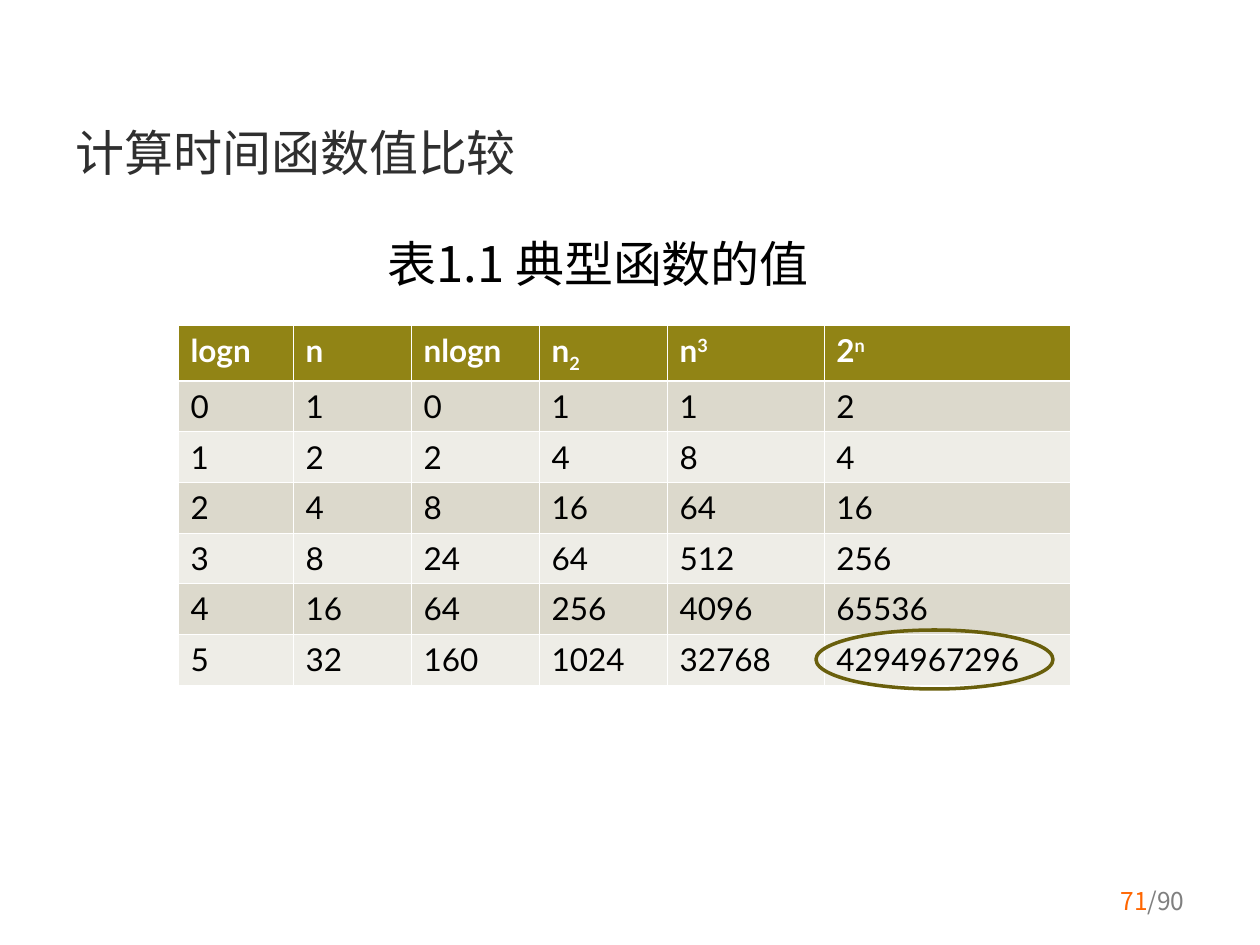
import pptx
import pptx.dml.color
import pptx.enum.shapes
import pptx.enum.text
import pptx.oxml
import pptx.oxml.ns
import pptx.util
from lxml import etree

TITLE = "计算时间函数值比较"
CAPTION = "表1.1 典型函数的值"
PAGE, PAGE_COUNT = "71", "/90"

# Each heading: base text, raised or lowered text, its offset in percent
HEADINGS = [("logn", "", 0), ("n", "", 0), ("nlogn", "", 0),
            ("n", "2", -25), ("n", "3", 30), ("2", "n", 30)]
VALUES = [
    (0, 1, 0, 1, 1, 2),
    (1, 2, 2, 4, 8, 4),
    (2, 4, 8, 16, 64, 16),
    (3, 8, 24, 64, 512, 256),
    (4, 16, 64, 256, 4096, 65536),
    (5, 32, 160, 1024, 32768, 4294967296),
]

LATIN, CJK = "Lato", "Noto Sans CJK SC"
HEADER_FILL, BAND_FILLS = "918415", ("DCD9CC", "EEEDE7")
WHITE, BLACK = "FFFFFF", "000000"
THIN, THICK = 0.45, 1.47

TABLE_LEFT, TABLE_TOP = 178, 325
COLUMN_WIDTHS = [115, 118, 128, 128, 157, 246]
HEADER_HEIGHT, BODY_HEIGHT = 56, 304
EMU_PER_PX = 914400 / 126


def px(length):
    return pptx.util.Emu(round(length * EMU_PER_PX))


def color(hex_code):
    return pptx.dml.color.RGBColor.from_string(hex_code)


def set_font(paragraph, name, size, hex_code, bold=False):
    font = paragraph.font
    font.name, font.size, font.bold = name, pptx.util.Pt(size), bold
    font.color.rgb = color(hex_code)
    east_asian = etree.SubElement(font._element, pptx.oxml.ns.qn("a:ea"))
    east_asian.set("typeface", CJK)


def add_borders(cell, top, bottom):
    """Give the cell white borders; must run before its fill is set."""
    properties = cell._tc.get_or_add_tcPr()
    for side, width in (("L", THIN), ("R", THIN), ("T", top), ("B", bottom)):
        properties.append(pptx.oxml.parse_xml(
            f'<a:ln{side} {pptx.oxml.ns.nsdecls("a")} w="{round(width * 12700)}">'
            f'<a:solidFill><a:srgbClr val="{WHITE}"/></a:solidFill></a:ln{side}>'))


def style_cell(cell, fill, text_color, bold=False, top=THIN, bottom=THIN):
    add_borders(cell, top, bottom)
    cell.fill.solid()
    cell.fill.fore_color.rgb = color(fill)
    set_font(cell.text_frame.paragraphs[0], LATIN, 18, text_color, bold)


def add_table(slide):
    table = slide.shapes.add_table(
        len(VALUES) + 1, len(HEADINGS), px(TABLE_LEFT), px(TABLE_TOP),
        px(sum(COLUMN_WIDTHS)), px(HEADER_HEIGHT + BODY_HEIGHT)).table
    table.horz_banding = False
    for column, width in zip(table.columns, COLUMN_WIDTHS):
        column.width = px(width)
    for index, row in enumerate(table.rows):
        row.height = px(BODY_HEIGHT / len(VALUES) if index else HEADER_HEIGHT)

    for cell, (base, script, offset) in zip(table.rows[0].cells, HEADINGS):
        paragraph = cell.text_frame.paragraphs[0]
        paragraph.add_run().text = base
        if script:
            script_run = paragraph.add_run()
            script_run.text = script
            script_run._r.get_or_add_rPr().set("baseline", str(offset * 1000))
        style_cell(cell, HEADER_FILL, WHITE, bold=True, bottom=THICK)

    for index, values in enumerate(VALUES):
        for cell, value in zip(table.rows[index + 1].cells, values):
            cell.text = str(value)
            style_cell(cell, BAND_FILLS[index % 2], BLACK,
                       top=THIN if index else THICK)


def main():
    presentation = pptx.Presentation()
    presentation.slide_width, presentation.slide_height = px(1260), px(945)
    slide = presentation.slides.add_slide(presentation.slide_layouts[5])
    align = pptx.enum.text.PP_ALIGN
    middle = pptx.enum.text.MSO_ANCHOR.MIDDLE

    title = slide.shapes.title
    title.left, title.top, title.width, title.height = map(px, (63, 108, 1134, 87))
    title.text_frame.text = TITLE
    title.text_frame.vertical_anchor = middle
    heading = title.text_frame.paragraphs[0]
    heading.alignment = align.LEFT
    set_font(heading, LATIN, 28, "2F2F2F")

    add_table(slide)

    caption = slide.shapes.add_textbox(*map(px, (375, 227, 473, 72))).text_frame
    caption.word_wrap = False
    caption.text = CAPTION
    set_font(caption.paragraphs[0], CJK, 28, BLACK)

    highlight = slide.shapes.add_shape(
        pptx.enum.shapes.MSO_SHAPE.OVAL, *map(px, (816, 630, 237, 59)))
    highlight.shadow.inherit = False
    highlight.fill.background()
    highlight.line.color.rgb = color("695F0C")
    highlight.line.width = pptx.util.Pt(2)

    footer = slide.shapes.add_textbox(*map(px, (903, 876, 294, 50))).text_frame
    footer.word_wrap = True
    footer.vertical_anchor = middle
    page_number = footer.paragraphs[0]
    page_number.alignment = align.RIGHT
    set_font(page_number, CJK, 14, "7F7F7F")
    current = page_number.add_run()
    current.text = PAGE
    current.font.color.rgb = color("FF6600")
    page_number.add_run().text = PAGE_COUNT

    presentation.save("out.pptx")


if __name__ == "__main__":
    main()
